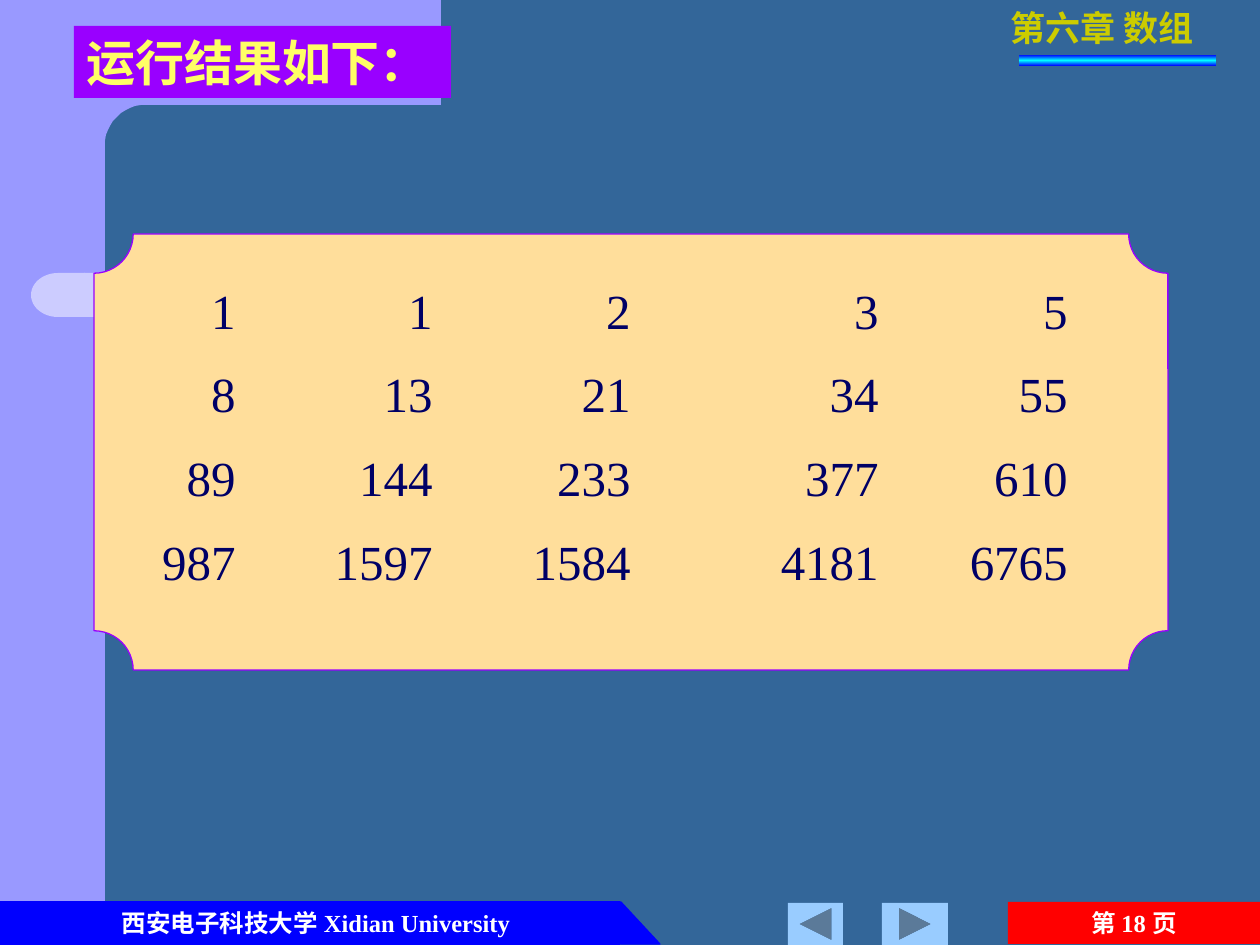
from copy import deepcopy
from dataclasses import dataclass
from math import cos, pi, sin
from lxml import etree
from pptx import Presentation
from pptx.dml.color import RGBColor
from pptx.enum.shapes import MSO_SHAPE
from pptx.enum.text import MSO_ANCHOR, PP_ALIGN
from pptx.oxml.ns import qn
from pptx.util import Pt

RECT = MSO_SHAPE.RECTANGLE
ROUND = MSO_SHAPE.ROUNDED_RECTANGLE
DELAY = MSO_SHAPE.FLOWCHART_DELAY
WEDGE = MSO_SHAPE.RIGHT_TRIANGLE
NEXT = MSO_SHAPE.ACTION_BUTTON_FORWARD_OR_NEXT
PLAQUE = MSO_SHAPE.PLAQUE
LEFT, MID, RIGHT = PP_ALIGN.LEFT, PP_ALIGN.CENTER, PP_ALIGN.RIGHT
TOP, HALF = MSO_ANCHOR.TOP, MSO_ANCHOR.MIDDLE


@dataclass(frozen=True)
class Theme:
    back: str = "336699"
    band: str = "9999FF"
    pale: str = "CCCCFF"
    blue: str = "0000FF"
    cyan: str = "00FFFF"
    red: str = "FF0000"
    sky: str = "99CCFF"
    sand: str = "FFDE9B"
    plum: str = "9900FF"
    ink: str = "000066"
    lemon: str = "FFFF66"
    gold: str = "CCCC00"
    white: str = "FFFFFF"
    big: int = 28
    head: int = 20
    foot: int = 14
    gap: float = 14.2
    serif: str = "Times New Roman"
    han: str = "Noto Sans CJK SC"


T = Theme()
PX = 914400 // 126
TITLE = "运行结果如下："
CHAPTER = "第六章 数组"
SCHOOL = "西安电子科技大学 Xidian University"
PAGE = "第 18 页"
COLUMNS = [
    (113, 248, ["1", "8", "89", "987"]),
    (323, 445, ["1", "13", "144", "1597"]),
    (520, 643, ["2", "21", "233", "1584"]),
    (769, 891, ["3", "34", "377", "4181"]),
    (958, 1080, ["5", "55", "610", "6765"]),
]

deck = Presentation()
deck.slide_width, deck.slide_height = 1260 * PX, 945 * PX
slide = deck.slides.add_slide(deck.slide_layouts[6])
slide.background.fill.solid()
slide.background.fill.fore_color.rgb = RGBColor.from_string(T.back)


def paint(shape, fill, line=None):
    shape.shadow.inherit = False
    shape.fill.solid()
    shape.fill.fore_color.rgb = RGBColor.from_string(fill)
    if line:
        shape.line.color.rgb = RGBColor.from_string(line)
        shape.line.width = Pt(0.75)
    else:
        shape.line.fill.background()
    return shape


def draw(kind, box, fill, line=None):
    shape = slide.shapes.add_shape(kind, *(n * PX for n in box))
    return paint(shape, fill, line)


def label(box):
    return slide.shapes.add_textbox(*(n * PX for n in box))


def write(shape, lines, size, color, align=LEFT, bold=True, anchor=HALF, wrap=True):
    frame = shape.text_frame
    frame.text = "\n".join(lines)
    frame.word_wrap = wrap
    frame.vertical_anchor = anchor
    for i, para in enumerate(frame.paragraphs):
        para.alignment = align
        para.space_before = Pt(T.gap if i else 0)
        for run in para.runs:
            font = run.font
            font.size, font.bold, font.name = Pt(size), bold, T.serif
            font.color.rgb = RGBColor.from_string(color)
            east = etree.SubElement(run._r.get_or_add_rPr(), qn("a:ea"))
            east.set("typeface", T.han)
    return frame


draw(RECT, (0, 0, 105, 945), T.band)
arc = [(146 - 41 * sin(a), 146 - 41 * cos(a)) for a in (pi * i / 24 for i in range(13))]
edge = [(441, 105), *arc, (105, 161), (63, 161), (63, 0)]
pen = slide.shapes.build_freeform(441, 0, scale=PX)
pen.add_line_segments(edge, close=True)
paint(pen.convert_to_shape(), T.band)

bar = draw(ROUND, (84, 273, 966, 44), T.pale)
bar.adjustments[0] = 0
cap = draw(DELAY, (31, 273, 54, 44), T.pale)
cap._element.spPr.xfrm.set("flipH", "1")

draw(RECT, (0, 902, 620, 42), T.blue, T.blue)
draw(WEDGE, (621, 902, 39, 42), T.blue, T.blue)
write(label((37, 902, 558, 42)), [SCHOOL], T.foot, T.white, MID)
page = draw(RECT, (1008, 902, 252, 42), T.red)
write(page, [PAGE], T.foot, T.white, MID)
draw(NEXT, (882, 903, 66, 42), T.sky)
draw(NEXT, (788, 903, 55, 42), T.sky).rotation = 180

panel = draw(PLAQUE, (94, 234, 1074, 436), T.sand, T.plum)
panel.adjustments[0] = 0.09
for left, right, nums in COLUMNS:
    box = label((left, 275, right - left, 336))
    frame = write(box, nums, T.big, T.ink, RIGHT, False, TOP)
    frame.margin_left, frame.margin_top = 0, 5 * PX

title = draw(RECT, (74, 26, 377, 72), T.plum)
write(title, [TITLE], T.big, T.lemon)
write(label((998, 0, 219, 54)), [CHAPTER], T.head, T.gold, wrap=False)

rule = draw(RECT, (1019, 55, 197, 11), T.blue)
rule.fill.gradient()
rule.fill.gradient_angle = 90
stops = rule._element.spPr.find(qn("a:gradFill")).find(qn("a:gsLst"))
stops.insert(1, deepcopy(stops[0]))
for stop, at, color in zip(rule.fill.gradient_stops, (0, 0.5, 1), (T.blue, T.cyan, T.blue)):
    stop.position = at
    stop.color.rgb = RGBColor.from_string(color)

deck.save("out.pptx")
